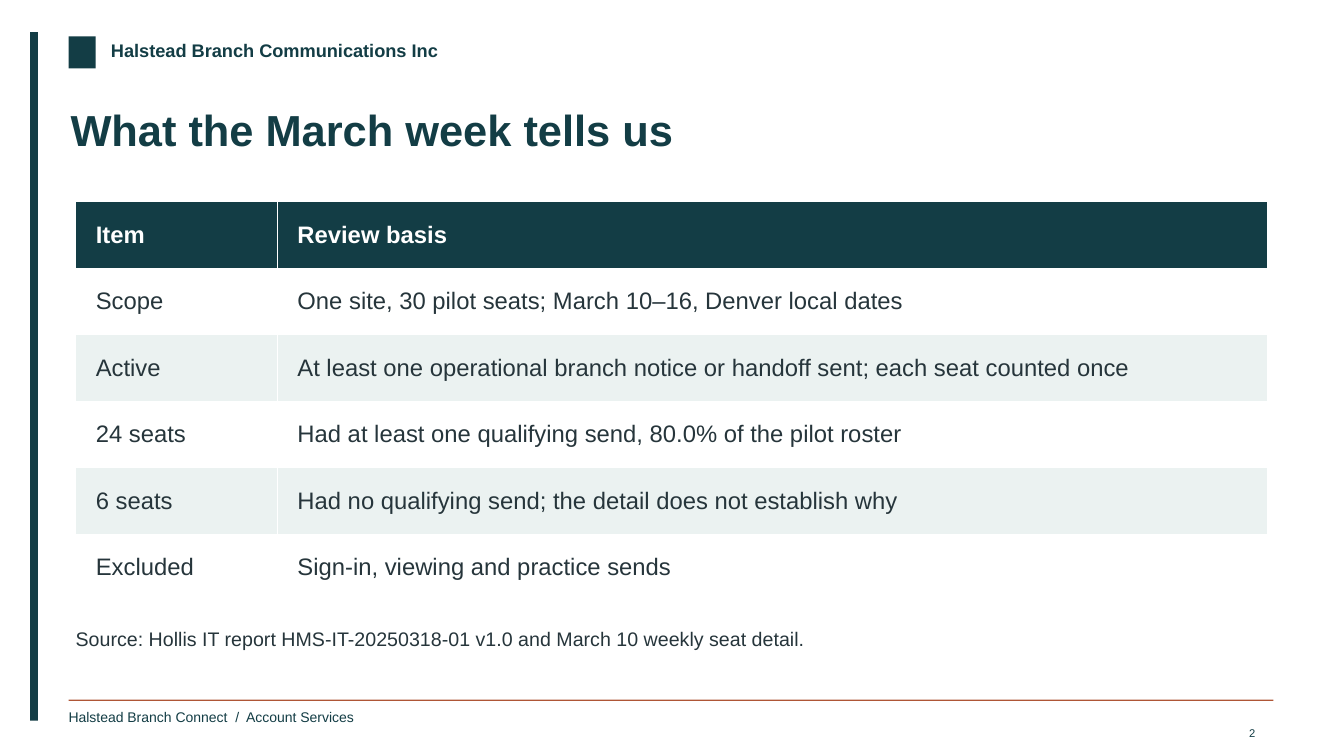
import collections

import pptx
import pptx.dml.color
import pptx.enum.shapes
import pptx.enum.text
import pptx.util

COLOURS = {"pine": "133D45", "rust": "AF5636", "ink": "26353B",
           "mist": "EBF2F1", "white": "FFFFFF"}
FONT = "Arial"
COLUMNS, ROWS = 1333, 750          # slide grid, 100 cells to the inch
CELL = pptx.util.Inches(0.01)

Box = collections.namedtuple("Box", "left top width height")

REVIEW_ROWS = [
    ("Item", "Review basis"),
    ("Scope", "One site, 30 pilot seats; March 10–16, Denver local dates"),
    ("Active", "At least one operational branch notice or handoff sent; "
               "each seat counted once"),
    ("24 seats", "Had at least one qualifying send, 80.0% of the pilot roster"),
    ("6 seats", "Had no qualifying send; the detail does not establish why"),
    ("Excluded", "Sign-in, viewing and practice sends"),
]


def colour(name):
    return pptx.dml.color.RGBColor.from_string(COLOURS[name])


def inside(box, left, top, width, height):
    """Box whose left and top are counted from those of the given box."""
    return Box(box.left + left, box.top + top, width, height)


def lengths(box):
    return [round(cells * CELL) for cells in box]


def apply(target, values):
    for name, value in values.items():
        setattr(target, name, value)


def write(frame, text, size, shade, bold=False, align=None):
    para = frame.paragraphs[0]
    para.alignment = align
    span = para.add_run()
    span.text = text
    apply(span.font, {"name": FONT, "size": pptx.util.Pt(size), "bold": bold})
    span.font.color.rgb = colour(shade)


def add_block(page, box, shade):
    block = page.shapes.add_shape(
        pptx.enum.shapes.MSO_SHAPE.RECTANGLE, *lengths(box))
    block.shadow.inherit = False
    block.fill.solid()
    block.fill.fore_color.rgb = colour(shade)
    block.line.fill.background()


def add_text(page, box, text, size, shade, bold=False, align=None, **frame_values):
    frame = page.shapes.add_textbox(*lengths(box)).text_frame
    values = {"margin_left": 0, "margin_top": 0, "margin_right": 0,
              "margin_bottom": 0, "word_wrap": False}
    apply(frame, {**values, **frame_values})
    write(frame, text, size, shade, bold, align)


def add_header(page, box):
    # Plain block in place of the brand mark, then the company name
    add_block(page, inside(box, 0, 0, 27, 32), "pine")
    add_text(page, inside(box, 42, 3, 355, 27),
             "Halstead Branch Communications Inc", 13, "pine", bold=True)


def add_title(page, box):
    add_text(page, box, "What the March week tells us", 31, "pine", bold=True,
             word_wrap=True)


def add_review_table(page, box, first_column=200):
    row_count = len(REVIEW_ROWS)
    table = page.shapes.add_table(row_count, 2, *lengths(box)).table
    for column, width in zip(table.columns, (first_column, box.width - first_column)):
        column.width = width * CELL
    for index, texts in enumerate(REVIEW_ROWS):
        heading = index == 0
        table.rows[index].height = round(box.height / row_count * CELL)
        fill = "pine" if heading else ("white" if index % 2 else "mist")
        for cell, text in zip(table.rows[index].cells, texts):
            apply(cell, {"margin_left": 20 * CELL, "margin_right": 10 * CELL,
                         "margin_top": 5 * CELL, "margin_bottom": 5 * CELL,
                         "vertical_anchor": pptx.enum.text.MSO_ANCHOR.MIDDLE})
            cell.fill.solid()
            cell.fill.fore_color.rgb = colour(fill)
            write(cell.text_frame, text, 17, "white" if heading else "ink", heading)


def add_source_note(page, box):
    add_text(page, box, "Source: Hollis IT report HMS-IT-20250318-01 v1.0 "
             "and March 10 weekly seat detail.", 14, "ink", word_wrap=True)


def add_footer(page, box):
    # Rule, department line and page number
    add_block(page, inside(box, 0, 0, box.width, 1.4), "rust")
    add_text(page, inside(box, 0, 9, 320, 23),
             "Halstead Branch Connect  /  Account Services", 10, "pine")
    add_text(page, inside(box, box.width - 53, 22, 45, 20), "2", 8, "pine",
             align=pptx.enum.text.PP_ALIGN.RIGHT,
             auto_size=pptx.enum.text.MSO_AUTO_SIZE.SHAPE_TO_FIT_TEXT,
             margin_left=10 * CELL, margin_right=10 * CELL,
             margin_top=5 * CELL, margin_bottom=5 * CELL)


def main():
    deck = pptx.Presentation()
    apply(deck, {"slide_width": COLUMNS * CELL, "slide_height": ROWS * CELL})
    page = deck.slides.add_slide(deck.slide_layouts[6])

    # Side bar, then the regions from top to bottom
    add_block(page, Box(30, 32, 7.5, 683), "pine")
    add_header(page, Box(68, 36, 1195, 32))
    add_title(page, Box(70, 102, 1190, 86))
    add_review_table(page, Box(75, 200, 1182, 396))
    add_source_note(page, Box(75, 622, 1182, 44))
    add_footer(page, Box(68, 694, 1195, 42))

    deck.save("out.pptx")


if __name__ == "__main__":
    main()
